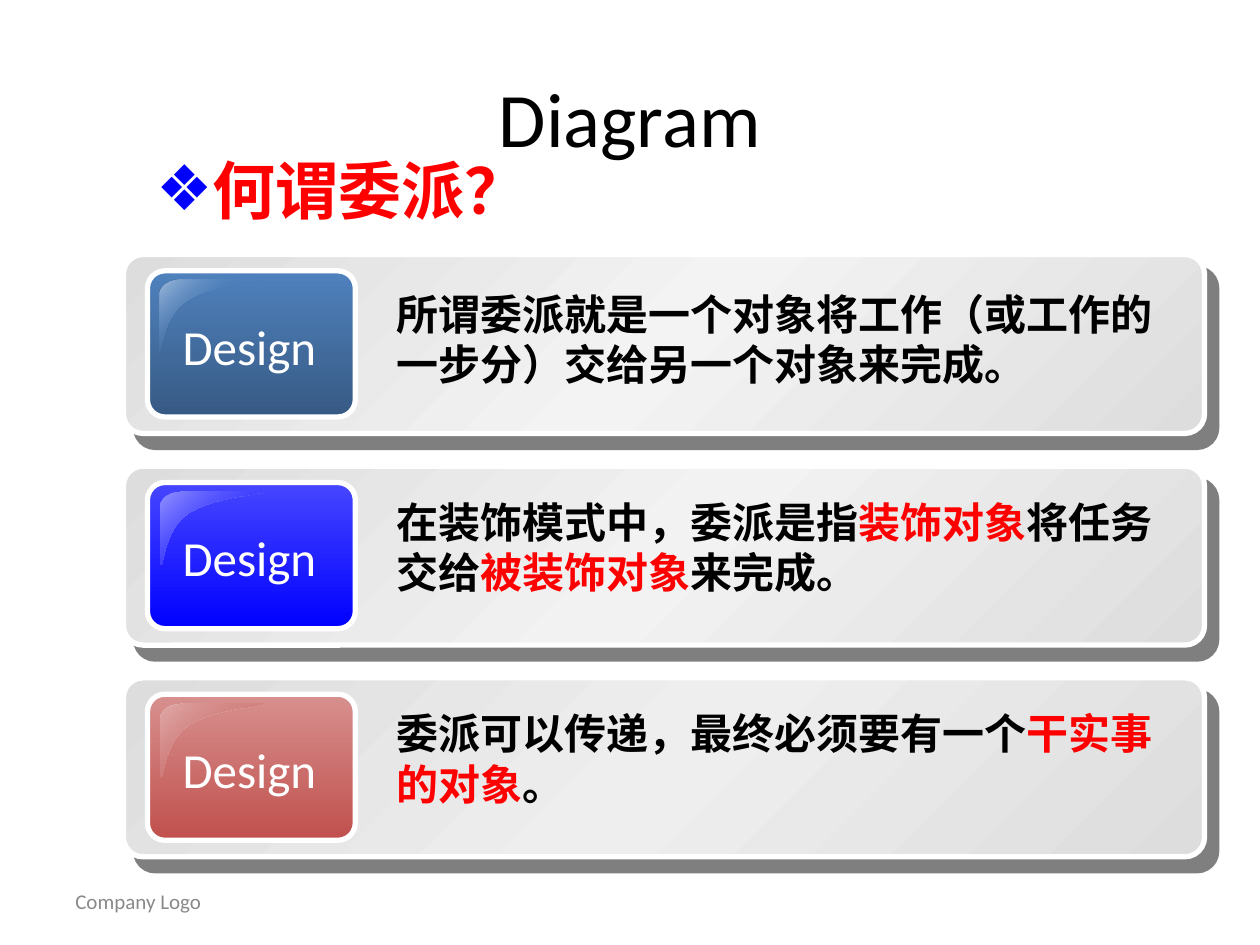
"""Build a slide with three glossy cards that explain delegation."""
from lxml import etree
from pptx import Presentation
from pptx import util as u
from pptx.dml.color import RGBColor
from pptx.enum import shapes, text
from pptx.oxml import parse_xml
from pptx.oxml.ns import nsdecls, qn

BLACK = RGBColor(0, 0, 0)
WHITE = RGBColor(255, 255, 255)
RED = RGBColor(255, 0, 0)
BLUE = RGBColor(0, 0, 255)
GREY = RGBColor(0x89, 0x89, 0x89)
EDGE = RGBColor(0xDD, 0xDD, 0xDD)
STEEL = RGBColor(0x4F, 0x81, 0xBD)
NAVY = RGBColor(0x37, 0x5A, 0x84)
SKY = RGBColor(0x9F, 0xBA, 0xDB)
IRIS = RGBColor(0x46, 0x46, 0xFF)
LILAC = RGBColor(0x93, 0x93, 0xFF)
ROSE = RGBColor(0xD7, 0x90, 0x8E)
BRICK = RGBColor(0xC0, 0x50, 0x4D)
BLUSH = RGBColor(0xE0, 0xAA, 0xA8)

CARDS = [
    {"mid": RGBColor(0xF3, 0xF3, 0xF3),
     "badge": [(0, STEEL, 100), (100, NAVY, 100)],
     "gloss": [(0, SKY, 100), (50, STEEL, 0), (100, SKY, 100)],
     "drop": 0.22,
     "runs": [("所谓委派就是一个对象将工作（或工作的一步分）交给另一个对象来完成。", BLACK)]},
    {"mid": RGBColor(0xF2, 0xF2, 0xF2),
     "badge": [(0, IRIS, 100), (100, BLUE, 100)],
     "gloss": [(0, LILAC, 100), (100, BLUE, 0)],
     "drop": 0.19,
     "runs": [("在装饰模式中，委派是指", BLACK), ("装饰对象", RED),
              ("将任务交给", BLACK), ("被装饰对象", RED), ("来完成。", BLACK)]},
    {"mid": RGBColor(0xEE, 0xEE, 0xEE),
     "badge": [(0, ROSE, 100), (100, BRICK, 100)],
     "gloss": [(0, BLUSH, 100), (100, BRICK, 0)],
     "drop": 0.19,
     "runs": [("委派可以传递，最终必须要有一个", BLACK), ("干实事的对象", RED),
              ("。", BLACK)]},
]
TOP, PITCH = 2.02, 1.68
GLOSS = [
    ("moveTo", [(0.17, 0)]),
    ("cubicBezTo", [(0.08, 0), (0, 0.05), (0, 0.12)]),
    ("lnTo", [(0, 0.58)]),
    ("cubicBezTo", [(0.04, 0.58), (0.02, 0.3), (0.23, 0.17)]),
    ("cubicBezTo", [(0.43, 0.04), (0.83, 0.03), (0.82, 0)]),
    ("lnTo", [(0.17, 0)]),
    ("close", []),
]


def blend(shape, stops, angle):
    shape.fill.gradient()
    shape.fill.gradient_angle = 360 - angle
    rows = shape.fill._fill._gradFill.find(qn("a:gsLst"))
    for old in list(rows):
        rows.remove(old)
    for pos, color, alpha in stops:
        stop = etree.SubElement(rows, qn("a:gs"), pos=str(pos * 1000))
        tone = etree.SubElement(stop, qn("a:srgbClr"), val=str(color))
        if alpha < 100:
            etree.SubElement(tone, qn("a:alpha"), val=str(alpha * 1000))


def panel(slide, box, round_by, stops, angle):
    shape = slide.shapes.add_shape(
        shapes.MSO_SHAPE.ROUNDED_RECTANGLE, *map(u.Inches, box))
    shape.adjustments[0] = round_by
    shape.shadow.inherit = False
    shape.line.color.rgb = WHITE
    shape.line.width = u.Pt(3)
    blend(shape, stops, angle)
    return shape


def shade(shape):
    props = shape._element.spPr
    props.remove(props.find(qn("a:effectLst")))
    props.append(parse_xml(
        f'<a:effectLst {nsdecls("a")}><a:outerShdw blurRad="0" dist="{u.Pt(10.6)}" '
        f'dir="{49 * 60000}" algn="ctr" rotWithShape="0"><a:srgbClr val="000000">'
        '<a:alpha val="50000"/></a:srgbClr></a:outerShdw></a:effectLst>'))


def shine(slide, left, top, stops):
    ends = [points[-1] for _, points in GLOSS if points]
    dots = [(u.Inches(left + x), u.Inches(top + y)) for x, y in ends]
    draft = slide.shapes.build_freeform(*dots[0])
    draft.add_line_segments(dots[1:], close=True)
    shape = draft.convert_to_shape()
    route = next(shape._element.iter(qn("a:path")))
    for old in list(route):
        route.remove(old)
    for kind, points in GLOSS:
        move = etree.SubElement(route, qn(f"a:{kind}"))
        for x, y in points:
            etree.SubElement(move, qn("a:pt"), x=str(u.Inches(x)), y=str(u.Inches(y)))
    shape.shadow.inherit = False
    shape.line.fill.background()
    blend(shape, stops, 45)


def write(slide, box, runs, size, font="Calibri", bold=False, wrap=True,
          align=text.PP_ALIGN.LEFT, anchor=text.MSO_ANCHOR.TOP):
    frame = slide.shapes.add_textbox(*map(u.Inches, box)).text_frame
    frame.word_wrap = wrap
    frame.vertical_anchor = anchor
    para = frame.paragraphs[0]
    para.alignment = align
    for words, color in runs:
        run = para.add_run()
        run.text = words
        run.font.name = font
        run.font.size = u.Pt(size)
        run.font.bold = bold
        run.font.color.rgb = color
    return para


def bullet(para, mark, color, font):
    props = para._p.get_or_add_pPr()
    props.set("marL", str(u.Inches(0.38)))
    props.set("indent", str(u.Inches(-0.38)))
    tone = etree.SubElement(props, qn("a:buClr"))
    etree.SubElement(tone, qn("a:srgbClr"), val=str(color))
    etree.SubElement(props, qn("a:buFont"), typeface=font)
    etree.SubElement(props, qn("a:buChar"), char=mark)


def card(slide, top, item):
    stops = [(0, EDGE, 100), (50, item["mid"], 100), (100, EDGE, 100)]
    shade(panel(slide, (0.98, top, 8.58, 1.42), 0.109, stops, 45))
    panel(slide, (1.17, top + 0.13, 1.65, 1.16), 0.119, item["badge"], 90)
    shine(slide, 1.27, top + 0.2, item["gloss"])
    write(slide, (1.35, top + 0.44, 1.26, 0.57), [("Design", WHITE)], 28,
          wrap=False, align=text.PP_ALIGN.CENTER)
    write(slide, (3.05, top + item["drop"], 6.31, 0.9), item["runs"], 24, bold=True)


def main():
    deck = Presentation()
    deck.slide_width, deck.slide_height = u.Inches(10), u.Inches(7.5)
    slide = deck.slides.add_slide(deck.slide_layouts[6])
    middle = text.MSO_ANCHOR.MIDDLE
    write(slide, (0.5, 6.95, 2.33, 0.4), [("Company Logo", GREY)], 12, anchor=middle)
    write(slide, (0.5, 0.3, 9, 1.25), [("Diagram", BLACK)], 44,
          align=text.PP_ALIGN.CENTER, anchor=middle)
    for row, item in enumerate(CARDS):
        card(slide, TOP + row * PITCH, item)
    head = write(slide, (1.14, 1.15, 8.03, 5.67), [("何谓委派？", RED)], 36,
                 font="DejaVu Sans", bold=True)
    bullet(head, "❖", BLUE, "DejaVu Sans")
    deck.save("out.pptx")


if __name__ == "__main__":
    main()
